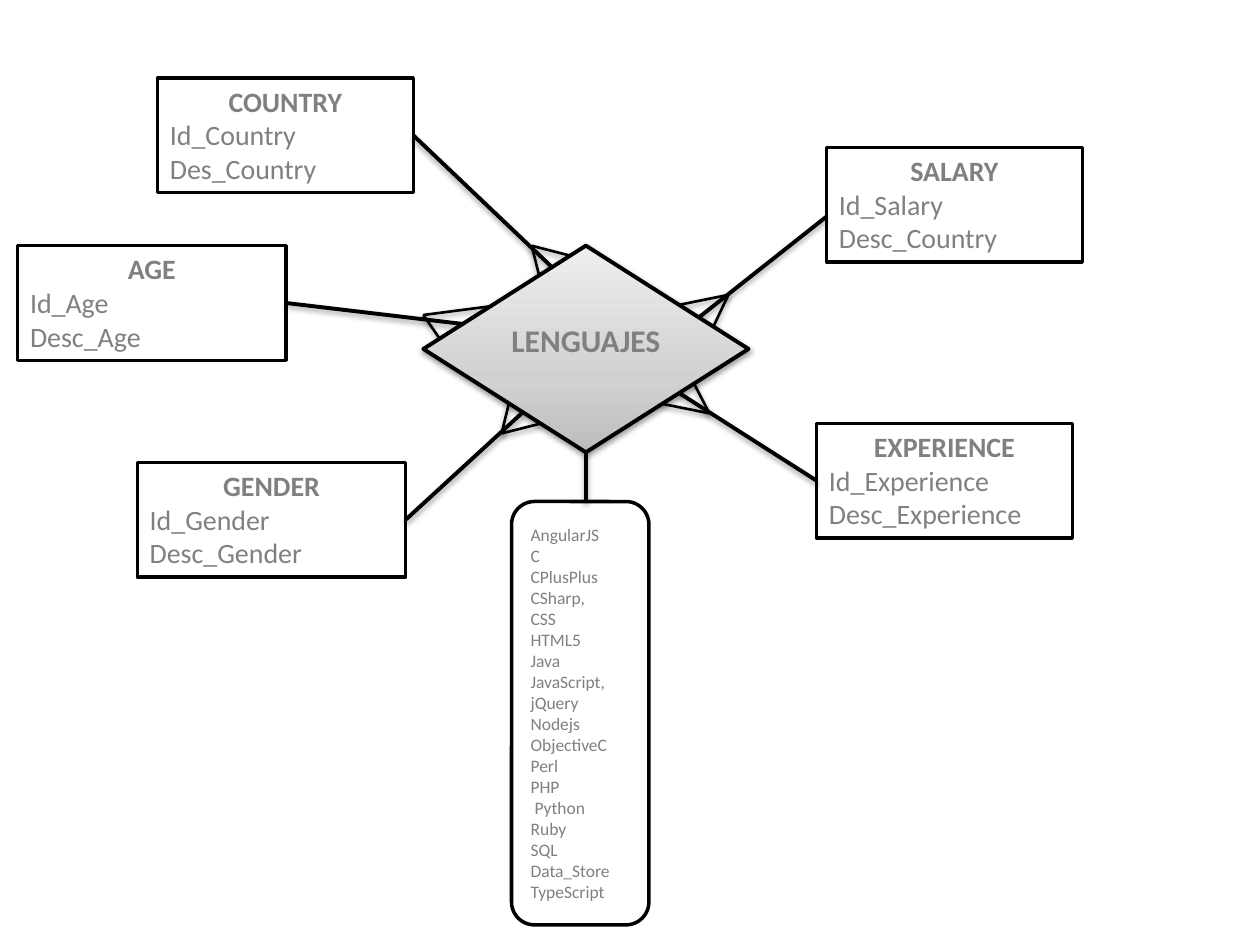
from dataclasses import dataclass

from pptx import Presentation
from pptx.dml.color import RGBColor
from pptx.enum.shapes import MSO_CONNECTOR, MSO_SHAPE
from pptx.enum.text import MSO_ANCHOR, MSO_AUTO_SIZE, PP_ALIGN
from pptx.oxml import parse_xml
from pptx.util import Pt

RECT = MSO_SHAPE.RECTANGLE
ROUNDED = MSO_SHAPE.ROUNDED_RECTANGLE
DECISION = MSO_SHAPE.FLOWCHART_DECISION
STRAIGHT = MSO_CONNECTOR.STRAIGHT
LEFT, CENTER = PP_ALIGN.LEFT, PP_ALIGN.CENTER
TOP, MIDDLE = MSO_ANCHOR.TOP, MSO_ANCHOR.MIDDLE
FIT_SHAPE = MSO_AUTO_SIZE.SHAPE_TO_FIT_TEXT

NS = 'xmlns:a="http://schemas.openxmlformats.org/drawingml/2006/main"'
BLACK, WHITE, GRAY = "000000", "FFFFFF", "808080"
FONT = "Calibri"
BOX_HEIGHT = 65.5
LEFT_SITE, BOTTOM_SITE, RIGHT_SITE = 1, 2, 3
Point = tuple[float, float]


@dataclass
class Entity:
    name: str
    fields: tuple[str, str]
    x: float
    y: float
    width: float
    site: int | None
    start: Point
    end: Point


@dataclass
class CrowFoot:
    apex: Point
    toes: tuple[Point, Point]


ENTITIES = [
    Entity("COUNTRY", ("Id_Country", "Des_Country"), 90, 44.6, 146.2,
           RIGHT_SITE, (236.2, 78.5), (314.6, 151.9)),
    Entity("AGE", ("Id_Age", "Desc_Age"), 10.1, 140.4, 153.4,
           RIGHT_SITE, (163.4, 173.5), (270, 185.8)),
    Entity("SALARY", ("Id_Salary", "Desc_Country"), 472.3, 84.2, 146.2,
           None, (472.3, 123.8), (393.8, 185.8)),
    Entity("GENDER", ("Id_Gender", "Desc_Gender"), 78.5, 264.2, 153.4,
           RIGHT_SITE, (230.4, 298.1), (298.1, 236.2)),
    Entity("EXPERIENCE", ("Id_Experience", "Desc_Experience"), 466.6, 241.9, 146.2,
           LEFT_SITE, (466.6, 275.8), (388.1, 224.6)),
]
CROW_FEET = [
    CrowFoot((303.8, 140.4), ((309.6, 163.4), (326.2, 146.2))),
    CrowFoot((241.9, 180), ((253.4, 196.6), (286.6, 174.2))),
    CrowFoot((286.6, 247.7), ((292.3, 224.6), (309.6, 241.9))),
    CrowFoot((405.4, 236.2), ((376.6, 230.4), (393.8, 213.8))),
    CrowFoot((416.2, 168.5), ((388.1, 174.2), (405.4, 191.5))),
]
LANGUAGES = [
    "AngularJS", "C", "CPlusPlus", "CSharp,", "CSS", "HTML5", "Java",
    "JavaScript,", "jQuery", "Nodejs", "ObjectiveC", "Perl", "PHP",
    " Python", "Ruby", "SQL", "Data_Store", "TypeScript",
]
GRADIENT = [(0, "BDBDBD"), (35, "D1D1D1"), (100, "EEEEEE")]


def rgb(color: str) -> RGBColor:
    return RGBColor.from_string(color)


def add_shadow(sp, alpha: int, distance: float) -> None:
    sp._element.spPr.append(parse_xml(
        f'<a:effectLst {NS}><a:outerShdw blurRad="{Pt(3.15)}" dist="{Pt(distance)}" '
        f'dir="5400000" rotWithShape="0"><a:srgbClr val="{BLACK}">'
        f'<a:alpha val="{alpha * 1000}"/></a:srgbClr></a:outerShdw></a:effectLst>'))


def set_line(sp, width: float) -> None:
    sp.line.color.rgb = rgb(BLACK)
    sp.line.width = Pt(width)


def add_line(s, start: Point, end: Point, width: float, alpha: int, distance: float):
    sp = s.shapes.add_connector(STRAIGHT, *map(Pt, (*start, *end)))
    set_line(sp, width)
    add_shadow(sp, alpha, distance)
    return sp


def add_spoke(s, start: Point, end: Point):
    return add_line(s, start, end, 2.25, 35, 1.8)


def add_crow_foot(s, foot: CrowFoot) -> None:
    for toe in foot.toes:
        add_line(s, foot.apex, toe, 1.5, 38, 1.6)


def add_paragraph(tf, first: bool, text: str, size: float,
                  bold: bool = False, align=LEFT) -> None:
    p = tf.paragraphs[0] if first else tf.add_paragraph()
    p.alignment = align
    r = p.add_run()
    r.text = text
    r.font.size = Pt(size)
    r.font.name = FONT
    r.font.bold = bold
    r.font.color.rgb = rgb(GRAY)


def add_box(s, kind, x: float, y: float, width: float, height: float, anchor):
    sp = s.shapes.add_shape(kind, *map(Pt, (x, y, width, height)))
    sp.shadow.inherit = False
    sp.fill.solid()
    sp.fill.fore_color.rgb = rgb(WHITE)
    set_line(sp, 2)
    sp.text_frame.word_wrap = True
    sp.text_frame.vertical_anchor = anchor
    return sp


def add_entity(s, entity: Entity) -> None:
    sp = add_box(s, RECT, entity.x, entity.y, entity.width, BOX_HEIGHT, TOP)
    tf = sp.text_frame
    tf.auto_size = FIT_SHAPE
    add_paragraph(tf, True, entity.name, 16, True, CENTER)
    for field in entity.fields:
        add_paragraph(tf, False, field, 16)
    spoke = add_spoke(s, entity.start, entity.end)
    if entity.site is not None:
        spoke.begin_connect(sp, entity.site)


def add_language_list(s) -> None:
    sp = add_box(s, ROUNDED, 292.3, 286.6, 78.5, 241.9, MIDDLE)
    for i, language in enumerate(LANGUAGES):
        add_paragraph(sp.text_frame, i == 0, language, 10)


def add_relationship(s) -> None:
    diamond = s.shapes.add_shape(DECISION, *map(Pt, (241.9, 140.4, 185.8, 118.1)))
    stops = "".join(f'<a:gs pos="{pos * 1000}"><a:srgbClr val="{color}"/></a:gs>'
                    for pos, color in GRADIENT)
    diamond._element.spPr.insert(2, parse_xml(
        f'<a:gradFill {NS} rotWithShape="1"><a:gsLst>{stops}</a:gsLst>'
        f'<a:lin ang="16200000" scaled="0"/></a:gradFill>'))
    set_line(diamond, 2.25)
    add_shadow(diamond, 38, 1.6)

    label = s.shapes.add_textbox(*map(Pt, (275.8, 180, 118.1, 28.8)))
    tf = label.text_frame
    tf.word_wrap = True
    tf.auto_size = FIT_SHAPE
    add_paragraph(tf, True, "LENGUAJES", 18, True, CENTER)

    spoke = add_spoke(s, (334.8, 258.5), (334.8, 286.6))
    spoke.begin_connect(diamond, BOTTOM_SITE)


def main() -> None:
    prs = Presentation()
    prs.slide_width, prs.slide_height = Pt(720), Pt(540)
    s = prs.slides.add_slide(prs.slide_layouts[6])
    for foot in CROW_FEET:
        add_crow_foot(s, foot)
    add_language_list(s)
    for entity in ENTITIES:
        add_entity(s, entity)
    add_relationship(s)
    prs.save("out.pptx")


if __name__ == "__main__":
    main()
